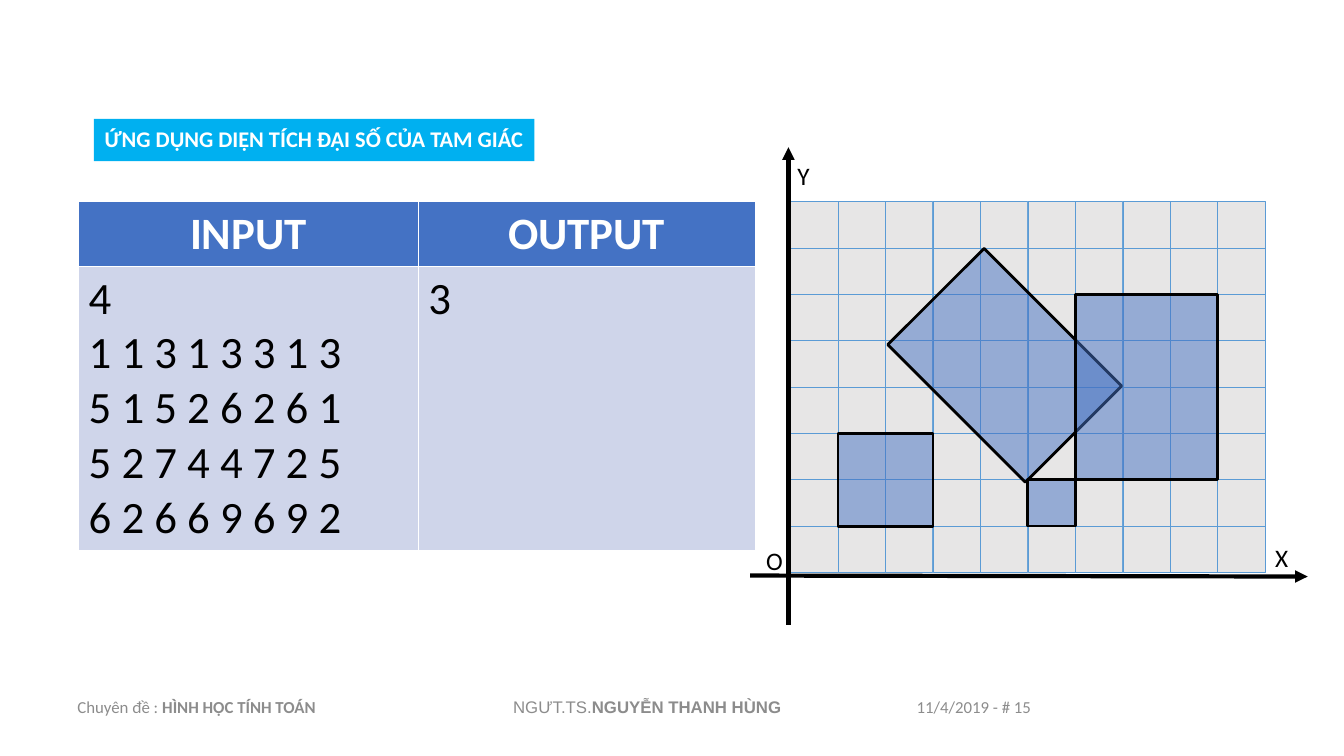
from lxml import etree
from pptx import Presentation
from pptx.dml.color import RGBColor
from pptx.enum.shapes import MSO_CONNECTOR, MSO_SHAPE
from pptx.enum.text import MSO_ANCHOR, MSO_AUTO_SIZE, PP_ALIGN
from pptx.oxml.ns import qn
from pptx.util import Inches, Pt

RECT = MSO_SHAPE.RECTANGLE
STRAIGHT = MSO_CONNECTOR.STRAIGHT
LEFT, CENTER = PP_ALIGN.LEFT, PP_ALIGN.CENTER
TOP, MIDDLE = MSO_ANCHOR.TOP, MSO_ANCHOR.MIDDLE
NO_FIT, GROW = MSO_AUTO_SIZE.NONE, MSO_AUTO_SIZE.SHAPE_TO_FIT_TEXT

COLORS = {
    "black": "000000",
    "white": "FFFFFF",
    "footer": "8C8C8C",
    "banner": "00B0F0",
    "cell": "E7E6E6",
    "grid": "5B9BD5",
    "accent": "4472C4",
    "body": "CFD5EA",
}

GRID_LEFT, GRID_TOP, GRID_RIGHT, GRID_BOTTOM = 7.84, 2, 12.55, 5.68
COLS, ROWS = 10, 8
CELL_W = (GRID_RIGHT - GRID_LEFT) / COLS
CELL_H = (GRID_BOTTOM - GRID_TOP) / ROWS

FOOTERS = [
    (0.67, 3, LEFT, "Calibri", [("Chuyên đề : ", False), ("HÌNH HỌC TÍNH TOÁN", True)]),
    (4.17, 4.5, CENTER, "Arial", [("NGƯT.TS.", False), ("NGUYỄN THANH HÙNG", True)]),
    (7.41, 4.5, CENTER, "Calibri", [("11/4/2019 - # 15", False)]),
]
TABLE = [
    ["INPUT", "OUTPUT"],
    ["4\n1 1 3 1 3 3 1 3\n5 1 5 2 6 2 6 1\n5 2 7 4 4 7 2 5\n6 2 6 6 9 6 9 2", "3"],
]
AXES = [(7.82, 6.2, 7.82, 1.46), (7.44, 5.71, 12.97, 5.72)]
AXIS_LABELS = [("Y", 7.81, 1.54, 0.32), ("X", 12.55, 5.33, 0.33), ("O", 7.5, 5.36, 0.37)]


def rgb(name):
    return RGBColor.from_string(COLORS[name])


def grid_box(x, y, w, h):
    return (GRID_LEFT + x * CELL_W, GRID_BOTTOM - (y + h) * CELL_H, w * CELL_W, h * CELL_H)


class SlideBuilder:
    def __init__(self, slide):
        self.slide = slide
        self.shapes = slide.shapes

    def group(self):
        self.shapes = self.slide.shapes.add_group_shape().shapes

    def ungroup(self):
        self.shapes = self.slide.shapes

    def add_runs(self, p, runs, size, color, font="Calibri", align=LEFT):
        p.alignment = align
        for text, bold in runs:
            r = p.add_run()
            r.text = text
            r.font.color.rgb = rgb(color)
            style = {"name": font, "size": Pt(size), "bold": bold}
            for key, value in style.items():
                setattr(r.font, key, value)

    def title(self, text, box):
        sp = self.slide.shapes.title
        sp.left, sp.top, sp.width, sp.height = map(Inches, box)
        sp.fill.solid()
        sp.fill.fore_color.rgb = rgb("banner")
        tf = sp.text_frame
        frame = {"vertical_anchor": MIDDLE, "word_wrap": True, "auto_size": NO_FIT}
        for key, value in frame.items():
            setattr(tf, key, value)
        p = tf.paragraphs[0]
        p.line_spacing = 0.9
        self.add_runs(p, [(text, True)], 16, "white", align=CENTER)

    def text(self, box, runs, size, color, font="Calibri", align=LEFT,
             anchor=TOP, wrap=True, fit=NO_FIT):
        tf = self.shapes.add_textbox(*map(Inches, box)).text_frame
        frame = {"vertical_anchor": anchor, "word_wrap": wrap, "auto_size": fit}
        for key, value in frame.items():
            setattr(tf, key, value)
        self.add_runs(tf.paragraphs[0], runs, size, color, font, align)

    def rect(self, box, fill, line, width, alpha=100, rotation=0):
        sp = self.shapes.add_shape(RECT, *map(Inches, box))
        sp.shadow.inherit = False
        sp.rotation = rotation
        sp.fill.solid()
        sp.fill.fore_color.rgb = rgb(fill)
        sp.line.color.rgb = rgb(line)
        sp.line.width = Pt(width)
        if alpha < 100:
            color = sp._element.spPr.find(qn("a:solidFill")).find(qn("a:srgbClr"))
            etree.SubElement(color, qn("a:alpha"), val=str(alpha * 1000))

    def arrow(self, ends):
        cx = self.shapes.add_connector(STRAIGHT, *map(Inches, ends))
        cx.line.color.rgb = rgb("black")
        cx.line.width = Pt(3)
        spPr = cx._element.spPr
        etree.SubElement(spPr.find(qn("a:ln")), qn("a:tailEnd"), type="triangle")
        etree.SubElement(spPr, qn("a:effectLst"))

    def table(self, rows, box, widths, heights):
        tbl = self.shapes.add_table(len(rows), len(rows[0]), *map(Inches, box)).table
        for col, width in zip(tbl.columns, widths):
            col.width = Inches(width)
        for i, (row, height) in enumerate(zip(rows, heights)):
            tbl.rows[i].height = Inches(height)
            header = i == 0
            for j, text in enumerate(row):
                cell = tbl.cell(i, j)
                cell.fill.solid()
                cell.fill.fore_color.rgb = rgb("accent" if header else "body")
                tf = cell.text_frame
                for k, line in enumerate(text.split("\n")):
                    p = tf.add_paragraph() if k else tf.paragraphs[0]
                    self.add_runs(p, [(line, header)], 32, "white" if header else "black",
                                  align=CENTER if header else LEFT)


def main():
    prs = Presentation()
    prs.slide_width, prs.slide_height = Inches(13.33), Inches(7.5)
    s = SlideBuilder(prs.slides.add_slide(prs.slide_layouts[5]))

    for left, width, align, font, runs in FOOTERS:
        s.text((left, 6.81, width, 0.4), runs, 12, "footer", font, align, MIDDLE)

    s.group()
    for y in range(ROWS):
        for x in range(COLS):
            s.rect(grid_box(x, y, 1, 1), "cell", "grid", 0.5)
    rectangles = [
        (grid_box(1, 1, 2, 2), 0),
        ((9, 2.95, 1.93, 1.35), 45),
        (grid_box(6, 2, 3, 4), 0),
        (grid_box(5, 1, 1, 1), 0),
    ]
    for box, rotation in rectangles:
        s.rect(box, "accent", "black", 2, 50, rotation)
    s.ungroup()

    s.table(TABLE, (0.78, 2, 6.71, 3.44), (3.37, 3.34), (0.64, 2.8))
    s.title("ỨNG DỤNG DIỆN TÍCH ĐẠI SỐ CỦA TAM GIÁC", (0.93, 1.18, 4.37, 0.42))

    s.group()
    for ends in AXES:
        s.arrow(ends)
    for label, left, top, width in AXIS_LABELS:
        s.text((left, top, width, 0.4), [(label, False)], 18, "black", wrap=False, fit=GROW)

    prs.save("out.pptx")


if __name__ == "__main__":
    main()
